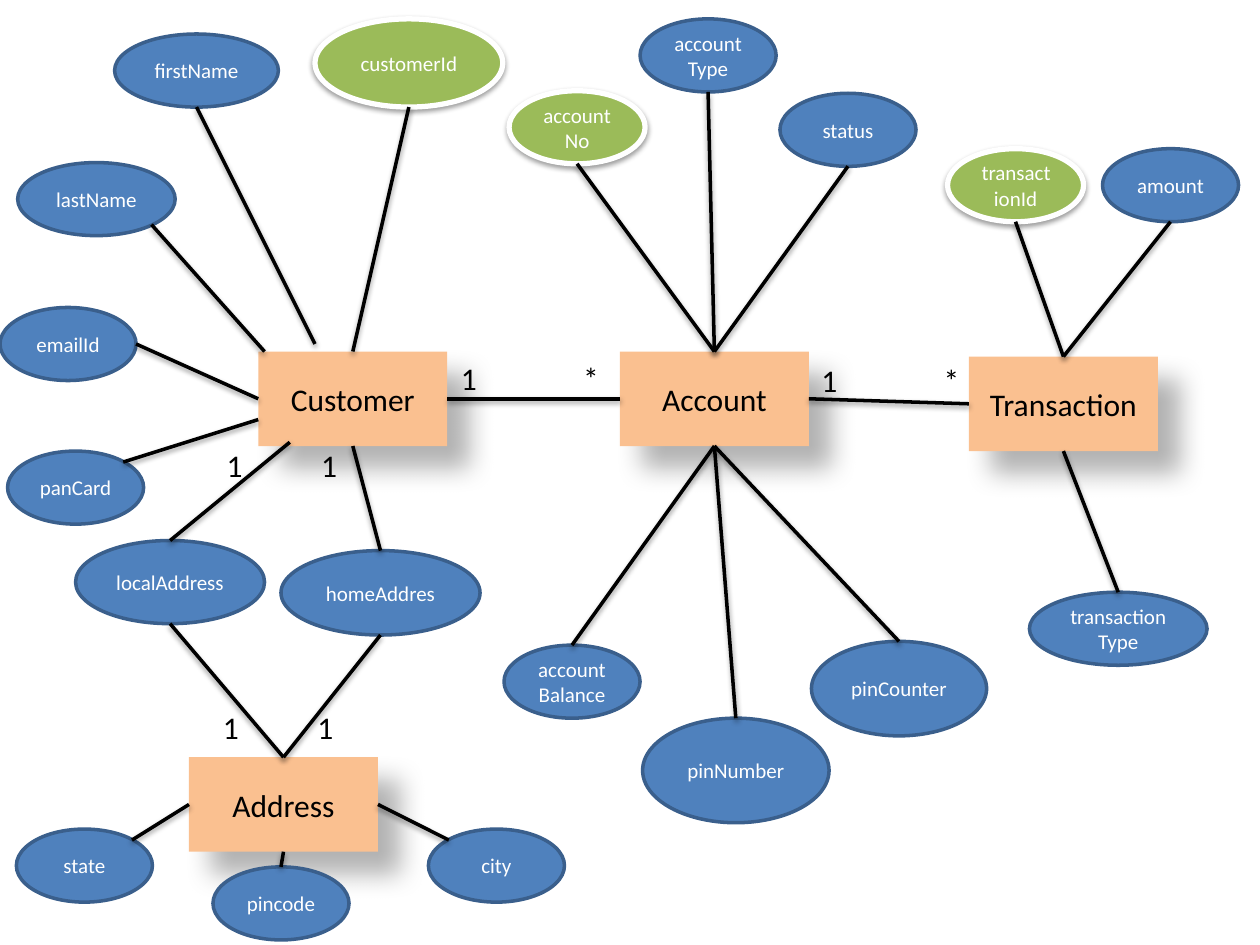
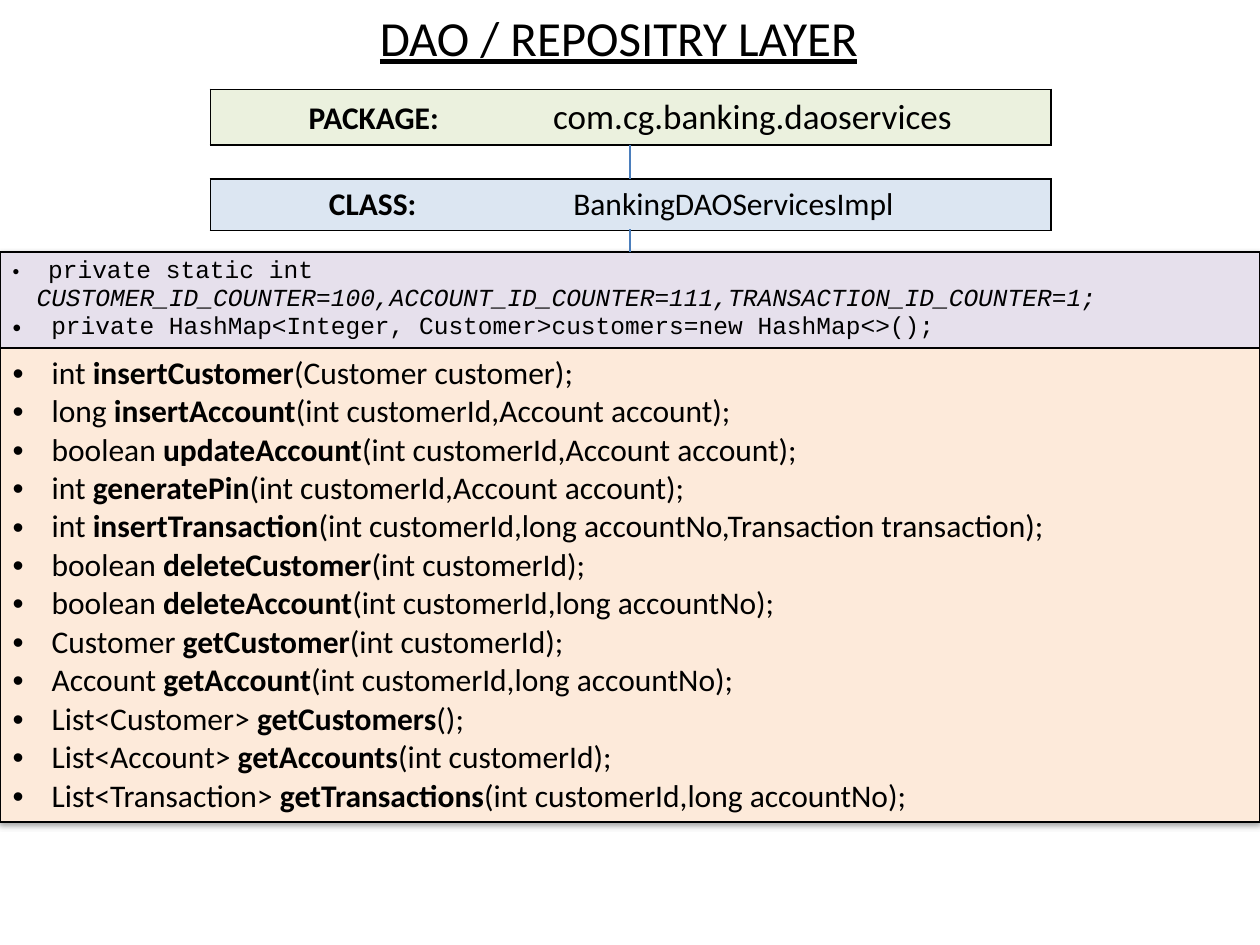
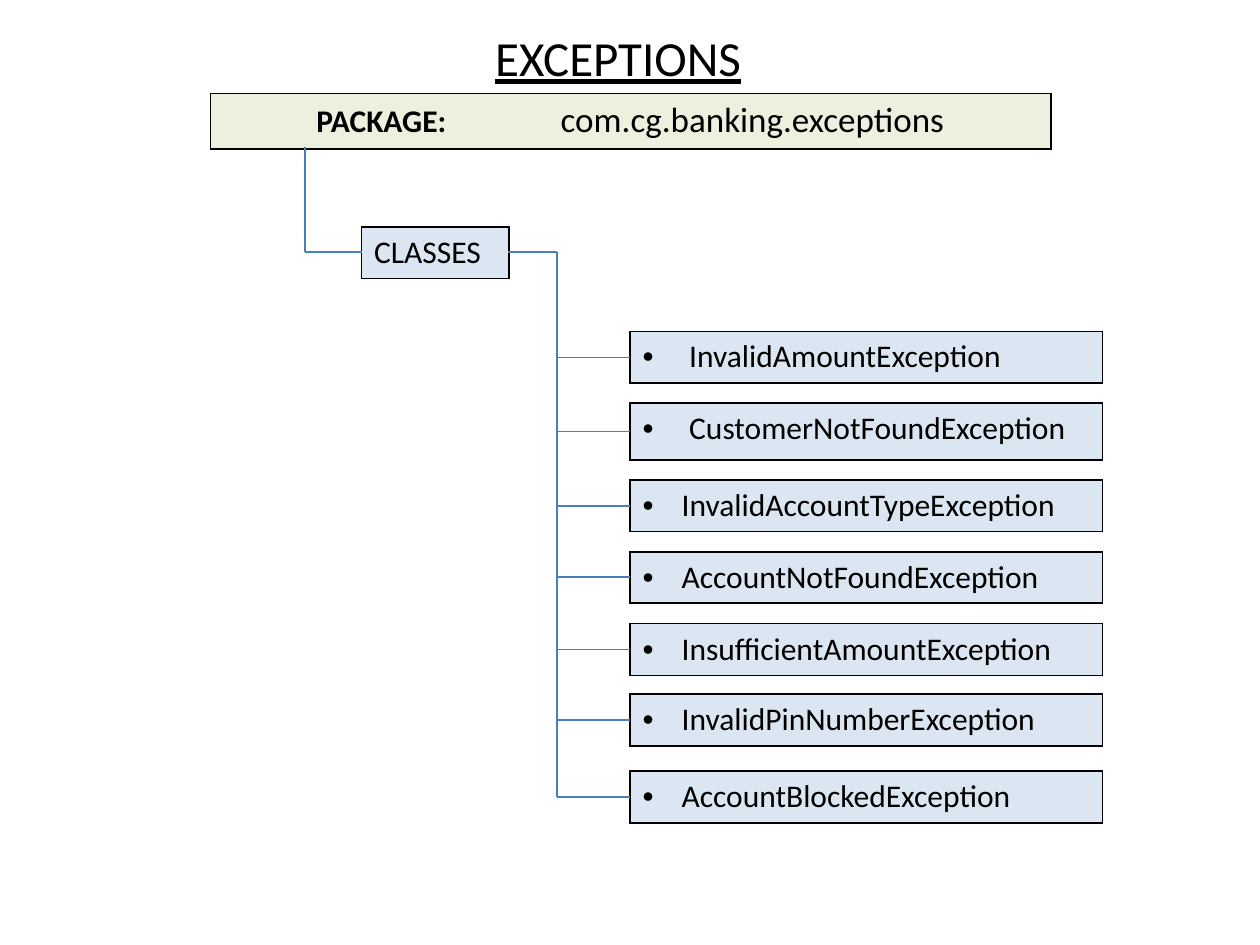
"""Build the banking design deck: entity diagram, DAO layer and exceptions."""
import pptx
import pptx.dml.color
import pptx.enum.shapes
import pptx.enum.text
import pptx.oxml
import pptx.oxml.ns
import pptx.util
from lxml import etree

Inches = pptx.util.Inches
Pt = pptx.util.Pt
SHAPE = pptx.enum.shapes.MSO_SHAPE
CENTER = pptx.enum.text.PP_ALIGN.CENTER
MIDDLE = pptx.enum.text.MSO_ANCHOR.MIDDLE
qn = pptx.oxml.ns.qn

BLACK, WHITE = "000000", "FFFFFF"
ENTITY, ATTRIBUTE, ATTRIBUTE_EDGE, KEY = "FAC090", "4F81BD", "3A5F8C", "9BBB59"
PACKAGE_FILL, CLASS_FILL, FIELD_FILL, METHOD_FILL = "EBF1DE", "DCE6F2", "E6E0EC", "FDEADA"
TREE_LINE = "4B7EBC"
SOFT_SHADOW = (38, 3.1, 1.6, 90)
DEEP_SHADOW = (30, 15, 18, 45)
DIAG = 0.35
SIDES = {"t": (0, -0.5), "b": (0, 0.5), "l": (-0.5, 0), "r": (0.5, 0),
         "tl": (-DIAG, -DIAG), "tr": (DIAG, -DIAG), "bl": (-DIAG, DIAG), "br": (DIAG, DIAG)}

ENTITIES = [
    ("Customer", (2.05, 2.79), [
        ("customerId", (2.5, 0.15, 1.49, 0.7), "b", "t", True),
        ("firstName", (0.91, 0.27, 1.3, 0.58), "b", (0.45, -0.06), False),
        ("lastName", (0.14, 1.29, 1.25, 0.58), "br", (0.05, 0), False),
        ("emailId", (0, 2.44, 1.08, 0.58), "r", "l", False),
        ("panCard", (0.06, 3.58, 1.08, 0.58), "tr", (0, 0.54), False),
        ("localAddress", (0.6, 4.29, 1.5, 0.66), "t", (0.25, 0.72), False),
        ("homeAddres", (2.23, 4.37, 1.58, 0.67), "t", "b", False)]),
    ("Account", (4.92, 2.79), [
        ("accountNo", (4.04, 0.72, 1.08, 0.58), "b", "t", True),
        ("accountType", (5.08, 0.15, 1.08, 0.58), "b", "t", False),
        ("status", (6.19, 0.74, 1.08, 0.58), "b", "t", False),
        ("accountBalance", (4, 5.12, 1.08, 0.58), "t", "b", False),
        ("pinNumber", (5.1, 5.7, 1.48, 0.83), "t", "b", False),
        ("pinCounter", (6.44, 5.09, 1.39, 0.75), "t", "b", False)]),
    ("Transaction", (7.69, 2.83), [
        ("transactionId", (7.52, 1.18, 1.08, 0.58), "b", "t", True),
        ("amount", (8.75, 1.18, 1.08, 0.58), "b", "t", False),
        ("transactionType", (8.17, 4.7, 1.41, 0.58), "t", "b", False)]),
    ("Address", (1.5, 6.01), [
        ("pincode", (1.69, 6.88, 1.08, 0.58), "t", "b", False),
        ("city", (3.4, 6.58, 1.08, 0.58), "tl", "r", False),
        ("state", (0.13, 6.58, 1.08, 0.58), "tr", "l", False)]),
]
RELATIONS = [("Customer", "r", "Account", "l"), ("Account", "r", "Transaction", "l"),
             ("localAddress", "b", "Address", "t"), ("homeAddres", "b", "Address", "t")]
CARDINALITIES = [("1\t*", 3.56, 2.8, 0.97), ("1\t*", 6.42, 2.82, 0.97),
                 ("1\t1", 1.7, 3.49, 0.75), ("1\t1", 1.67, 5.57, 0.75)]
METHODS = [
    ("int", "insertCustomer", "Customer customer"),
    ("long", "insertAccount", "int customerId,Account account"),
    ("boolean", "updateAccount", "int customerId,Account account"),
    ("int", "generatePin", "int customerId,Account account"),
    ("int", "insertTransaction", "int customerId,long accountNo,Transaction transaction"),
    ("boolean", "deleteCustomer", "int customerId"),
    ("boolean", "deleteAccount", "int customerId,long accountNo"),
    ("Customer", "getCustomer", "int customerId"),
    ("Account", "getAccount", "int customerId,long accountNo"),
    ("List<Customer>", "getCustomers", ""),
    ("List<Account>", "getAccounts", "int customerId"),
    ("List<Transaction>", "getTransactions", "int customerId,long accountNo"),
]
EXCEPTIONS = [
    ("InvalidAmountException", 2.63, 0.41, 0.37),
    ("CustomerNotFoundException", 3.2, 0.45, 0.37),
    ("InvalidAccountTypeException", 3.81, 0.41, 0.31),
    ("AccountNotFoundException", 4.38, 0.4, 0.31),
    ("InsufficientAmountException", 4.95, 0.41, 0.31),
    ("InvalidPinNumberException", 5.51, 0.41, 0.31),
    ("AccountBlockedException", 6.12, 0.41, 0.31),
]


def rgb(value):
    """Turn a hex string into a colour."""
    return pptx.dml.color.RGBColor.from_string(value)


def add_text(p, text, size=18, color=BLACK, font="Calibri", bold=False, italic=False, underline=False):
    """Append a formatted run to a paragraph."""
    r = p.add_run()
    r.text = text
    r.font.size, r.font.name = Pt(size), font
    r.font.bold, r.font.italic, r.font.underline = bold, italic, underline
    r.font.color.rgb = rgb(color)


def set_bullet(p, indent):
    """Give a paragraph a hanging bullet."""
    pPr = p._p.get_or_add_pPr()
    pPr.set("marL", str(Inches(indent)))
    pPr.set("indent", str(-Inches(indent)))
    etree.SubElement(pPr, qn("a:buFont")).set("typeface", "Arial")
    etree.SubElement(pPr, qn("a:buChar")).set("char", "•")


def set_tabs(p, *stops):
    """Give a paragraph left tab stops in inches."""
    tabs = etree.SubElement(p._p.get_or_add_pPr(), qn("a:tabLst"))
    for stop in stops:
        etree.SubElement(tabs, qn("a:tab"), pos=str(Inches(stop)), algn="l")


def shadow_list(shadow=None):
    """Return an effect list, empty or with one outer shadow."""
    effects = pptx.oxml.parse_xml(f"<a:effectLst {pptx.oxml.ns.nsdecls('a')}/>")
    if shadow:
        alpha, blur, dist, angle = shadow
        outer = etree.SubElement(effects, qn("a:outerShdw"), blurRad=str(Pt(blur)), dist=str(Pt(dist)),
                                 dir=str(angle * 60000), algn="ctr", rotWithShape="0")
        color = etree.SubElement(outer, qn("a:srgbClr"), val=BLACK)
        etree.SubElement(color, qn("a:alpha"), val=str(alpha * 1000))
    return effects


def add_line(slide, start, end, color=TREE_LINE, width=0.75, shadow=None):
    """Draw a straight connector between two points."""
    points = [Inches(v) for v in (*start, *end)]
    line = slide.shapes.add_connector(pptx.enum.shapes.MSO_CONNECTOR.STRAIGHT, *points)
    line.line.color.rgb = rgb(color)
    line.line.width = Pt(width)
    line._element.spPr.append(shadow_list(shadow))


def add_node(slide, name, box, kind, fill, size, color, edge=None, shadow=None):
    """Draw a labelled entity or attribute."""
    sp = slide.shapes.add_shape(kind, *map(Inches, box))
    sp.fill.solid()
    sp.fill.fore_color.rgb = rgb(fill)
    if edge:
        sp.line.color.rgb = rgb(edge[0])
        sp.line.width = Pt(edge[1])
    else:
        sp.line.fill.background()
    sp.shadow.inherit = False
    if shadow:
        spPr = sp._element.spPr
        spPr.replace(spPr.find(qn("a:effectLst")), shadow_list(shadow))
    tf = sp.text_frame
    tf.word_wrap, tf.vertical_anchor = True, MIDDLE
    p = tf.paragraphs[0]
    p.alignment = CENTER
    add_text(p, name, size=size, color=color)


def anchor(box, side):
    """Find a compass point, or an offset from the corner, of a box."""
    left, top, width, height = box
    if side in SIDES:
        dx, dy = SIDES[side]
        return left + width * (0.5 + dx), top + height * (0.5 + dy)
    return left + side[0], top + side[1]


def add_entity(slide, name, box, attributes):
    """Draw an entity, its attributes and the lines that join them."""
    add_node(slide, name, box, SHAPE.RECTANGLE, ENTITY, 18, BLACK, shadow=DEEP_SHADOW)
    for label, oval, side, end, is_key in attributes:
        look = (KEY, 12, WHITE, (WHITE, 3), SOFT_SHADOW) if is_key else (
            ATTRIBUTE, 12, WHITE, (ATTRIBUTE_EDGE, 2))
        add_node(slide, label, oval, SHAPE.OVAL, *look)
    for label, oval, side, end, is_key in attributes:
        add_line(slide, anchor(box, end), anchor(oval, side), BLACK, 2, SOFT_SHADOW)


def add_cardinality(slide, text, left, top, gap):
    """Write the two ends of a relation, parted by a tab."""
    tf = slide.shapes.add_textbox(Inches(left), Inches(top), Inches(1.32), Inches(0.4)).text_frame
    tf.word_wrap = True
    set_tabs(tf.paragraphs[0], gap)
    add_text(tf.paragraphs[0], text)


def add_panel(slide, box, fills, heights=None):
    """Add a bordered one-column table and return it."""
    table = slide.shapes.add_table(len(fills), 1, *map(Inches, box)).table
    table.first_row = table.horz_banding = False
    for i, fill in enumerate(fills):
        if heights:
            table.rows[i].height = Inches(heights[i])
        cell = table.cell(i, 0)
        cell.fill.solid()
        cell.fill.fore_color.rgb = rgb(fill)
        tcPr = cell._tc.get_or_add_tcPr()
        for n, edge in enumerate(("lnL", "lnR", "lnT", "lnB")):
            ln = etree.Element(qn("a:" + edge), w=str(Pt(1)))
            etree.SubElement(etree.SubElement(ln, qn("a:solidFill")), qn("a:srgbClr"), val=BLACK)
            tcPr.insert(n, ln)
    return table


def add_header(slide, top, height, fill, label, value, size, label_at):
    """Add a band with a bold label and a value at tab stops."""
    p = add_panel(slide, (1.67, top, 6.67, height), [fill]).cell(0, 0).text_frame.paragraphs[0]
    set_tabs(p, label_at, label_at + 1.94)
    add_text(p, f"\t{label}\t", bold=True)
    add_text(p, value, size=size)


def add_titled_slide(prs, text, left, top, width):
    """Add a slide with an underlined title."""
    slide = prs.slides.add_slide(prs.slide_layouts[5])
    title = slide.shapes.title
    title.left, title.top, title.width, title.height = map(Inches, (left, top, width, 0.57))
    title.text_frame.word_wrap = False
    p = title.text_frame.paragraphs[0]
    p.alignment = CENTER
    add_text(p, text, size=28, underline=True)
    return slide


def add_members(slide, box, heights):
    """Add the panel of fields and methods of the DAO class."""
    table = add_panel(slide, box, [FIELD_FILL, METHOD_FILL], heights)
    table._tbl.tblPr.insert(0, shadow_list(SOFT_SHADOW))
    fields, methods = (table.cell(i, 0).text_frame for i in range(2))
    p = fields.paragraphs[0]
    set_bullet(p, 0.19)
    add_text(p, " ", size=11, font="Courier New")
    add_text(p, "private static int ", size=14, font="Courier New")
    add_text(p, "CUSTOMER_ID_COUNTER=100,ACCOUNT_ID_COUNTER=111,TRANSACTION_ID_COUNTER=1;",
             size=14, font="Courier New", italic=True)
    p = fields.add_paragraph()
    set_bullet(p, 0.19)
    add_text(p, " private HashMap<Integer, Customer>customers=new HashMap<>();", size=14, font="Courier New")
    for i, (result, name, args) in enumerate(METHODS):
        p = methods.add_paragraph() if i else methods.paragraphs[0]
        set_bullet(p, 0.31)
        add_text(p, result + " ")
        add_text(p, name, bold=True)
        add_text(p, f"({args});")


def add_exception_tree(slide, left, trunk):
    """Add the exception boxes and the branches that reach them."""
    centers = []
    for name, top, height, indent in EXCEPTIONS:
        p = add_panel(slide, (left, top, 3.75, height), [CLASS_FILL]).cell(0, 0).text_frame.paragraphs[0]
        set_bullet(p, indent)
        add_text(p, name)
        centers.append(top + height / 2)
        add_line(slide, (trunk, centers[-1]), (left, centers[-1]))
    add_line(slide, (trunk, 2), (trunk, centers[-1]))


def build_entity_slide(prs):
    """Build the entity relationship diagram."""
    slide = prs.slides.add_slide(prs.slide_layouts[6])
    boxes = {}
    for name, corner, attributes in ENTITIES:
        boxes[name] = (*corner, 1.5, 0.75)
        boxes.update((attribute[0], attribute[1]) for attribute in attributes)
        add_entity(slide, name, boxes[name], attributes)
    for first, side, second, end in RELATIONS:
        add_line(slide, anchor(boxes[first], side), anchor(boxes[second], end), BLACK, 2, SOFT_SHADOW)
    for cardinality in CARDINALITIES:
        add_cardinality(slide, *cardinality)


def build_dao_slide(prs):
    """Build the DAO layer slide."""
    slide = add_titled_slide(prs, "DAO / REPOSITRY LAYER", 2.89, 0.01, 4.04)
    add_members(slide, (0, 2, 10, 4.52), (0.76, 3.76))
    add_header(slide, 1.42, 0.41, CLASS_FILL, "CLASS:", "BankingDAOServicesImpl", 18, 0.84)
    add_header(slide, 0.71, 0.43, PACKAGE_FILL, "PACKAGE:", "com.cg.banking.daoservices", 20, 0.68)
    for top, bottom in ((1.15, 1.42), (1.82, 2)):
        add_line(slide, (5, top), (5, bottom))


def build_exceptions_slide(prs):
    """Build the exceptions slide."""
    slide = add_titled_slide(prs, "EXCEPTIONS", 3.82, 0.17, 2.17)
    add_header(slide, 0.74, 0.43, PACKAGE_FILL, "PACKAGE:", "com.cg.banking.exceptions", 20, 0.74)
    classes = add_panel(slide, (2.87, 1.8, 1.17, 0.41), [CLASS_FILL])
    add_text(classes.cell(0, 0).text_frame.paragraphs[0], "CLASSES")
    add_line(slide, (2.42, 1.17), (2.42, 2))
    add_line(slide, (2.42, 2), (2.87, 2))
    add_line(slide, (4.03, 2), (4.42, 2))
    add_exception_tree(slide, 5, 4.42)


def main():
    """Build and save the deck."""
    prs = pptx.Presentation()
    prs.slide_width, prs.slide_height = Inches(10), Inches(7.5)
    build_entity_slide(prs)
    build_dao_slide(prs)
    build_exceptions_slide(prs)
    prs.save("out.pptx")


if __name__ == "__main__":
    main()
